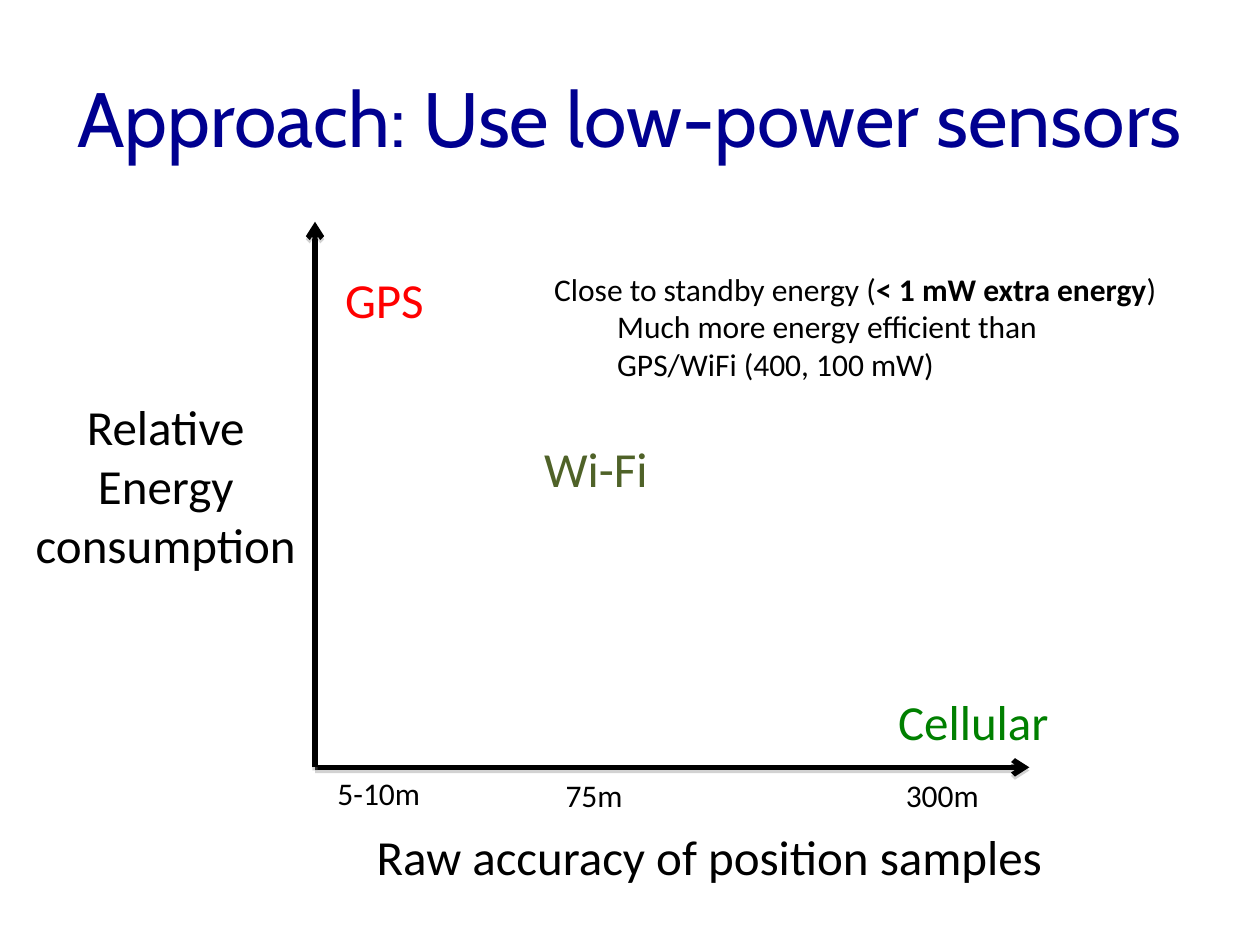
from lxml.etree import fromstring
from pptx import Presentation
from pptx.dml.color import RGBColor
from pptx.enum.shapes import MSO_CONNECTOR
from pptx.enum.text import MSO_ANCHOR, MSO_AUTO_SIZE, PP_ALIGN
from pptx.oxml.ns import nsdecls, qn
from pptx.util import Inches, Pt

COLORS = {
    "title": "000090",
    "ink": "000000",
    "gps": "FF0000",
    "wifi": "4F6228",
    "cellular": "008000",
    "shadow": "808080",
}
ORIGIN = (2.5, 6.09)


class SlideWriter:
    font_name = "Calibri"
    label_size = 28
    detail_size = 18
    axis_width = 3

    def __init__(self, page):
        self.page = page

    def frame(self, left, top, width, height, wrap=False):
        box = self.page.shapes.add_textbox(
            Inches(left), Inches(top), Inches(width), Inches(height)
        )
        frame = box.text_frame
        frame.word_wrap = wrap
        frame.auto_size = MSO_AUTO_SIZE.SHAPE_TO_FIT_TEXT
        return frame

    def style(self, paragraph, size, color="ink", font_name=None):
        paragraph.font.name = font_name or self.font_name
        paragraph.font.size = Pt(size)
        paragraph.font.color.rgb = RGBColor.from_string(COLORS[color])

    def title(self, text):
        frame = self.frame(0, 0.3, 10, 1.25, wrap=True)
        frame.auto_size = MSO_AUTO_SIZE.NONE
        frame.vertical_anchor = MSO_ANCHOR.MIDDLE
        paragraph = frame.paragraphs[0]
        paragraph.text = text
        paragraph.alignment = PP_ALIGN.CENTER
        self.style(paragraph, 44, "title", "Cabin")

    def label(self, lines, area, size=label_size, color="ink", align=PP_ALIGN.LEFT):
        frame = self.frame(*area)
        frame.text = "\n".join(lines)
        for paragraph in frame.paragraphs:
            paragraph.alignment = align
            self.style(paragraph, size, color)

    def note(self, spans, detail, area):
        frame = self.frame(*area, wrap=True)
        lead = frame.paragraphs[0]
        for text, bold in spans:
            span = lead.add_run()
            span.text = text
            span.font.bold = bold
        follow = frame.add_paragraph()
        follow.text = detail
        follow.level = 1
        properties = follow._p.get_or_add_pPr()
        properties.set("marL", str(Inches(0.5)))
        properties.set("indent", "0")
        for paragraph in frame.paragraphs:
            self.style(paragraph, self.detail_size)

    def axis(self, end):
        arrow = self.page.shapes.add_connector(
            MSO_CONNECTOR.STRAIGHT, *map(Inches, ORIGIN + end)
        )
        arrow.line.width = Pt(self.axis_width)
        arrow.line.color.rgb = RGBColor.from_string(COLORS["ink"])
        outline = arrow.line._get_or_add_ln()
        outline.append(fromstring(f'<a:tailEnd {nsdecls("a")} type="arrow"/>'))
        arrow._element.find(qn("p:spPr")).append(fromstring(
            f'<a:effectLst {nsdecls("a")}>'
            f'<a:outerShdw dist="{Pt(1.8)}" dir="5400000" rotWithShape="0">'
            f'<a:srgbClr val="{COLORS["shadow"]}"><a:alpha val="35000"/></a:srgbClr>'
            '</a:outerShdw></a:effectLst>'
        ))


def main():
    deck = Presentation()
    deck.slide_width, deck.slide_height = Inches(10), Inches(7.5)
    writer = SlideWriter(deck.slides.add_slide(deck.slide_layouts[6]))

    writer.title("Approach: Use low-power sensors")
    for end in ((8.17, 6.09), (2.5, 1.76)):
        writer.axis(end)

    writer.label(["Raw accuracy of position samples"], (2.89, 6.51, 5.55, 0.57))
    writer.label(
        ["Relative", "Energy", "consumption"],
        (0.17, 3.1, 2.29, 1.51),
        align=PP_ALIGN.CENTER,
    )

    for name, color, left, top, width in (
        ("Cellular", "cellular", 7.03, 5.44, 1.41),
        ("GPS", "gps", 2.64, 2.09, 1.03),
        ("Wi-Fi", "wifi", 4.22, 3.43, 1.12),
    ):
        writer.label([name], (left, top, width, 0.57), color=color)

    for distance, left, top, width, height in (
        ("75m", 4.39, 6.11, 0.86, 0.51),
        ("300m", 7.09, 6.11, 0.79, 0.4),
        ("5-10m", 2.58, 6.09, 1.16, 0.51),
    ):
        writer.label([distance], (left, top, width, height), writer.detail_size)

    writer.note(
        (("Close to standby energy (", False), ("< 1 mW extra energy", True), (")", False)),
        "Much more energy efficient than GPS/WiFi (400, 100 mW)",
        (4.3, 2.09, 5, 1.01),
    )
    deck.save("out.pptx")


if __name__ == "__main__":
    main()
